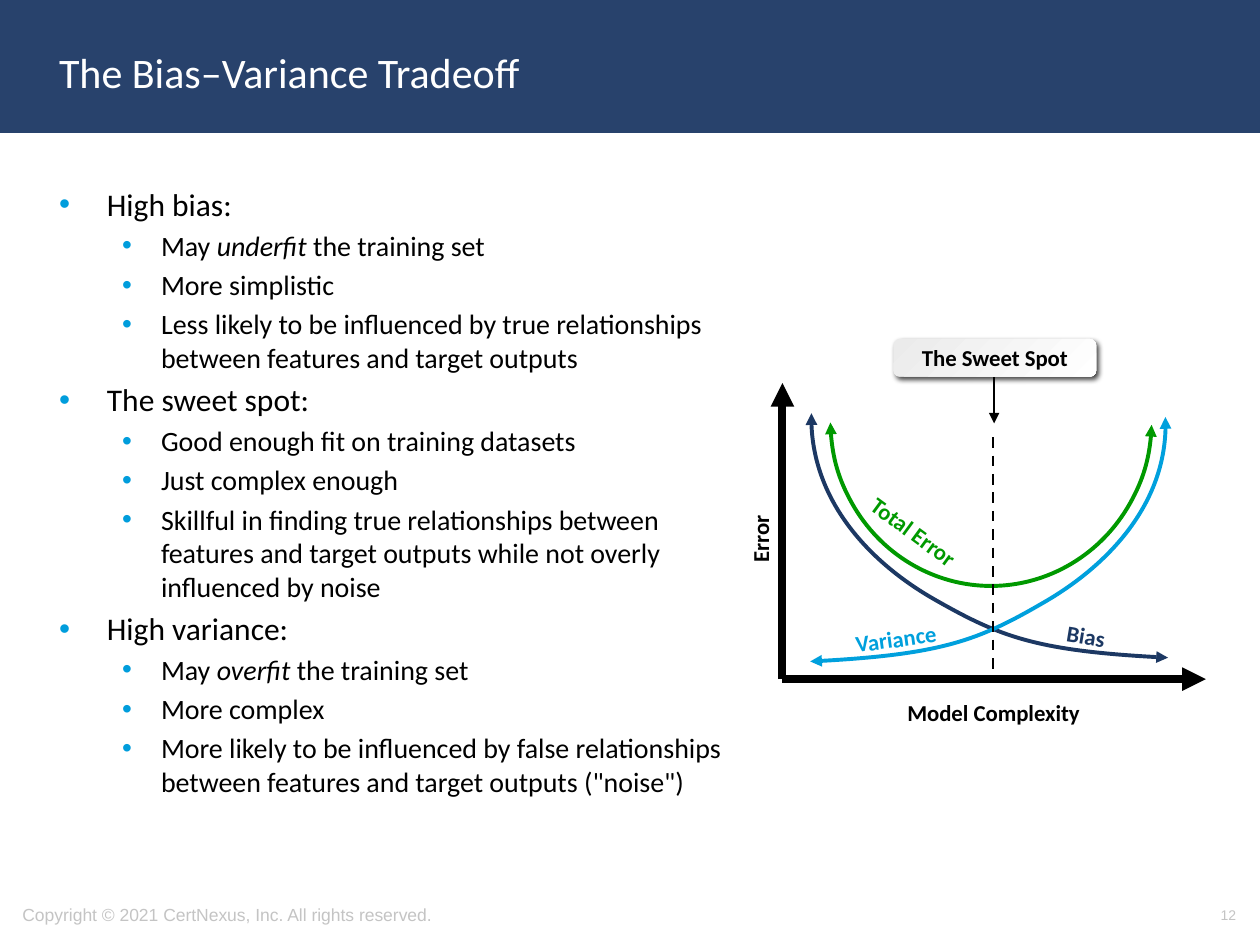
import lxml.etree
import pptx
import pptx.dml.color
import pptx.enum.dml
import pptx.enum.shapes
import pptx.enum.text
import pptx.oxml.ns
import pptx.util

Inches = pptx.util.Inches
Pt = pptx.util.Pt
qn = pptx.oxml.ns.qn
MSO_SHAPE = pptx.enum.shapes.MSO_SHAPE
ALIGN = pptx.enum.text.PP_ALIGN
ANCHOR = pptx.enum.text.MSO_ANCHOR

COLORS = {
    "band": "28426C", "white": "FFFFFF", "black": "000000", "footer": "C4C4C4",
    "bullet": "009DDC", "total": "009900", "bias": "1C3863", "variance": "00A0DD",
    "callout": "EBEBEB",
}

# Asterisks mark the italic words
BODY = [
    ("High bias:", [
        "May *underfit* the training set",
        "More simplistic",
        "Less likely to be influenced by true relationships between features "
        "and target outputs",
    ]),
    ("The sweet spot:", [
        "Good enough fit on training datasets",
        "Just complex enough",
        "Skillful in finding true relationships between features and target "
        "outputs while not overly influenced by noise",
    ]),
    ("High variance:", [
        "May *overfit* the training set",
        "More complex",
        "More likely to be influenced by false relationships between features "
        "and target outputs (\"noise\")",
    ]),
]

# Text size, left margin and hanging indent of each bullet level
LEVELS = [(18, 0.38, 0.38), (16, 0.81, 0.31)]

# Start point followed by three points per cubic segment
BIAS_CURVE = [(6.44, 3.28), (6.42, 3.95), (6.91, 4.47), (7.42, 4.76),
              (7.93, 5.05), (8.23, 5.17), (9.27, 5.22)]
VARIANCE_CURVE = [(9.25, 3.31), (9.28, 3.98), (8.78, 4.5), (8.27, 4.79),
                  (7.77, 5.08), (7.46, 5.2), (6.43, 5.25)]


def rgb(name):
    return pptx.dml.color.RGBColor.from_string(COLORS[name])


class SlideBuilder:
    def __init__(self, slide, font="Calibri"):
        self.slide = slide
        self.font = font

    def style_run(self, run, size, color, bold=False, italic=False, font=None):
        run.font.name = font or self.font
        run.font.size = Pt(size)
        run.font.bold = bold
        run.font.italic = italic
        run.font.color.rgb = rgb(color)

    def style_line(self, line, color, width, ends=()):
        line.color.rgb = rgb(color)
        line.width = Pt(width)
        for end in ends:
            lxml.etree.SubElement(line._ln, qn(f"a:{end}"), type="triangle")

    def set_text(self, shape, text, size, color, align=ALIGN.LEFT,
                 anchor=ANCHOR.MIDDLE, bold=False, font=None):
        frame = shape.text_frame
        frame.word_wrap = True
        frame.vertical_anchor = anchor
        frame.text = text
        paragraph = frame.paragraphs[0]
        paragraph.alignment = align
        self.style_run(paragraph.runs[0], size, color, bold, font=font)

    def shape(self, kind, left, top, width, height):
        shape = self.slide.shapes.add_shape(
            kind, Inches(left), Inches(top), Inches(width), Inches(height))
        shape.shadow.inherit = False
        return shape

    def textbox(self, left, top, width, height):
        return self.slide.shapes.add_textbox(
            Inches(left), Inches(top), Inches(width), Inches(height))

    def band(self, left, top, width, height, color):
        shape = self.shape(MSO_SHAPE.RECTANGLE, left, top, width, height)
        shape.fill.solid()
        shape.fill.fore_color.rgb = rgb(color)
        self.style_line(shape.line, color, 2)

    def label(self, text, left, top, width, color="black", rotation=0):
        shape = self.textbox(left, top, width, 0.32)
        shape.rotation = rotation
        self.set_text(shape, text, 13, color, ALIGN.CENTER, ANCHOR.TOP, bold=True)

    def bullet(self, paragraph, text, level):
        size, margin, hanging = LEVELS[level]
        paragraph.level = level
        properties = paragraph._p.get_or_add_pPr()
        properties.set("marL", str(Inches(margin)))
        properties.set("indent", str(-Inches(hanging)))
        color = lxml.etree.SubElement(properties, qn("a:buClr"))
        lxml.etree.SubElement(color, qn("a:srgbClr"), val=COLORS["bullet"])
        lxml.etree.SubElement(properties, qn("a:buFont"), typeface="Arial")
        lxml.etree.SubElement(properties, qn("a:buChar"), char="•")
        for index, part in enumerate(text.split("*")):
            run = paragraph.add_run()
            run.text = part
            self.style_run(run, size, "black", italic=index % 2 == 1)

    def bullets(self, left, top, width, height, sections):
        frame = self.textbox(left, top, width, height).text_frame
        frame.word_wrap = True
        items = [item for heading, points in sections
                 for item in [(heading, 0)] + [(point, 1) for point in points]]
        for index, (text, level) in enumerate(items):
            paragraph = frame.add_paragraph() if index else frame.paragraphs[0]
            self.bullet(paragraph, text, level)
            if index:
                paragraph.space_before = Pt(LEVELS[level][0] * 0.2)

    def arc(self, left, top, width, height, start, end, color):
        shape = self.shape(MSO_SHAPE.ARC, left, top, width, height)
        shape.adjustments[0], shape.adjustments[1] = start, end
        shape.rotation = 180
        shape.fill.background()
        self.style_line(shape.line, color, 2.25, ("headEnd", "tailEnd"))

    def line(self, start, end, width, ends=(), dashed=False):
        connector = self.slide.shapes.add_connector(
            pptx.enum.shapes.MSO_CONNECTOR.STRAIGHT,
            *(Inches(value) for value in start + end))
        if dashed:
            connector.line.dash_style = pptx.enum.dml.MSO_LINE.DASH
        self.style_line(connector.line, "black", width, ends)
        lxml.etree.SubElement(connector._element.spPr, qn("a:effectLst"))

    def curve(self, points, color):
        points = [(Inches(x), Inches(y)) for x, y in points]
        builder = self.slide.shapes.build_freeform(*points[0], scale=1.0)
        builder.add_line_segments(points[1:], close=False)
        shape = builder.convert_to_shape()
        shape.shadow.inherit = False
        shape.fill.background()
        self.style_line(shape.line, color, 2.25, ("headEnd", "tailEnd"))
        # Turn each three line segments into one cubic segment
        segments = list(shape._element.iter(qn("a:lnTo")))
        outline = segments[0].getparent()
        for index in range(0, len(segments), 3):
            cubic = lxml.etree.SubElement(outline, qn("a:cubicBezTo"))
            for segment in segments[index:index + 3]:
                cubic.append(segment[0])
                outline.remove(segment)

    def callout(self, text, left, top, width, height):
        shape = self.shape(MSO_SHAPE.ROUNDED_RECTANGLE, left, top, width, height)
        shape.fill.gradient()
        shape.fill.gradient_angle = 315
        for stop, color in zip(shape.fill.gradient_stops, ("callout", "white")):
            stop.color.rgb = rgb(color)
        shape.line.fill.background()
        effects = shape._element.spPr.find(qn("a:effectLst"))
        shadow = lxml.etree.SubElement(
            effects, qn("a:outerShdw"), blurRad=str(Pt(3)), dist=str(Pt(2)),
            dir=str(45 * 60000), algn="tl", rotWithShape="0")
        color = lxml.etree.SubElement(shadow, qn("a:srgbClr"), val=COLORS["black"])
        lxml.etree.SubElement(color, qn("a:alpha"), val="75000")
        self.set_text(shape, text, 13, "black", ALIGN.CENTER, bold=True)


def main():
    presentation = pptx.Presentation()
    presentation.slide_width = Inches(10)
    presentation.slide_height = Inches(7.5)
    slide = presentation.slides.add_slide(presentation.slide_layouts[6])
    builder = SlideBuilder(slide)

    # Title band, footer and page number
    builder.band(0, 0, 10, 1.04, "band")
    builder.set_text(builder.textbox(0.08, 7.06, 5.27, 0.4),
                     "Copyright © 2021 CertNexus, Inc. All rights reserved.",
                     10, "footer", font="Arial")
    builder.set_text(builder.textbox(0.37, 0.11, 8.62, 0.92),
                     "The Bias–Variance Tradeoff", 24, "white")
    builder.set_text(builder.textbox(7.58, 7.06, 2.33, 0.4), "12", 8, "footer",
                     ALIGN.RIGHT, font="Arial")

    # Bulleted text
    builder.bullets(0.37, 1.42, 5.49, 5.38, BODY)

    # Total error curve and axes
    builder.arc(6.59, 2.02, 2.55, 2.63, 108.98, 215.52, "total")
    origin = (6.21, 5.39)
    for axis_end in ((6.21, 3.04), (9.57, 5.39)):
        builder.line(origin, axis_end, 4.5, ("tailEnd",))
    builder.label("Model Complexity", 7.07, 5.5, 1.63)
    builder.label("Error", 5.22, 4.12, 1.63, rotation=270)

    # Bias and variance curves with the dashed optimum
    builder.curve(BIAS_CURVE, "bias")
    builder.curve(VARIANCE_CURVE, "variance")
    builder.line((7.88, 3.47), (7.88, 5.36), 1.5, dashed=True)
    builder.label("Variance", 6.56, 4.91, 1.1, "variance", 352.3)
    builder.label("Bias", 8.07, 4.89, 1.1, "bias", 9.4)
    builder.label("Total Error", 6.7, 4.06, 1.1, "total", 36.3)

    # Sweet spot callout, its arrow starting behind the box
    builder.line((7.89, 3.36), (7.89, 2.81), 1.5, ("headEnd",))
    builder.callout("The Sweet Spot", 7.09, 2.69, 1.61, 0.3)

    presentation.save("out.pptx")


if __name__ == "__main__":
    main()
